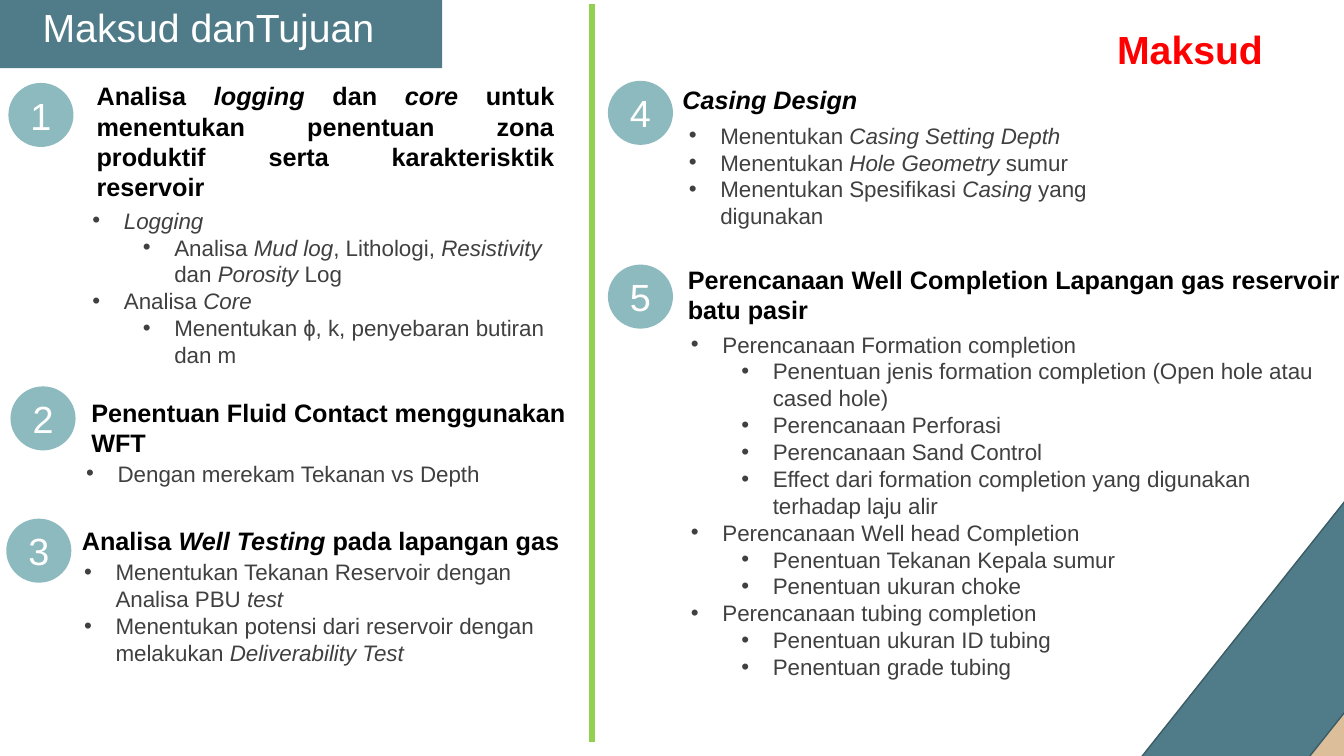
from dataclasses import dataclass

import pptx
import pptx.dml.color
import pptx.enum.shapes
import pptx.enum.text
import pptx.oxml.ns
import pptx.util
from lxml import etree

PX = 9525  # EMU in one px, 96 px to the inch
FONT = "Arial"
BADGE_WIDTH, BADGE_HEIGHT = 62, 61
BULLET_HANG, LEVEL_STEP = 30, 48
COLORS = {
    "teal": "507C89",
    "teal_edge": "3B5C65",
    "badge": "8CBABE",
    "sand": "DCBE9A",
    "green": "92D050",
    "red": "FF0000",
    "white": "FFFFFF",
    "black": "000000",
    "gray": "404040",
}
ALIGN = pptx.enum.text.PP_ALIGN
AUTO_SIZE = pptx.enum.text.MSO_AUTO_SIZE
PRESET = pptx.enum.shapes.MSO_SHAPE


@dataclass(frozen=True)
class Box:
    left: int
    top: int
    width: int
    height: int

    def emu(self) -> tuple[int, int, int, int]:
        return self.left * PX, self.top * PX, self.width * PX, self.height * PX


@dataclass(frozen=True)
class Bullet:
    level: int
    text: str


@dataclass(frozen=True)
class Section:
    """A numbered topic; text between asterisks is italic."""
    badge_left: int
    badge_top: int
    heading_box: Box
    heading: str
    bullets_box: Box
    bullets: tuple[Bullet, ...]
    heading_align: ALIGN = ALIGN.LEFT


SECTIONS = (
    Section(
        8, 79,
        Box(82, 72, 458, 126),
        "Analisa *logging* dan *core *untuk menentukan penentuan zona produktif "
        "serta karakterisktik reservoir",
        Box(80, 192, 458, 165),
        (
            Bullet(0, "*Logging*"),
            Bullet(1, "Analisa *Mud log*, Lithologi, *Resistivity* dan *Porosity* Log"),
            Bullet(0, "Analisa *Core*"),
            Bullet(1, "Menentukan ɸ, k, penyebaran butiran dan m"),
        ),
        ALIGN.JUSTIFY,
    ),
    Section(
        10, 368,
        Box(77, 373, 501, 68), "Penentuan Fluid Contact menggunakan WFT",
        Box(74, 433, 498, 55),
        (Bullet(0, "Dengan merekam Tekanan vs Depth"),),
    ),
    Section(
        6, 494,
        Box(68, 495, 500, 38), "Analisa *Well Testing *pada lapangan gas",
        Box(72, 527, 500, 61),
        (
            Bullet(0, "Menentukan Tekanan Reservoir dengan Analisa PBU *test*"),
            Bullet(0, "Menentukan potensi dari reservoir dengan melakukan *Deliverability Test*"),
        ),
    ),
    Section(
        579, 77,
        Box(640, 75, 480, 38), "*Casing Design*",
        Box(648, 111, 480, 87),
        (
            Bullet(0, "Menentukan *Casing Setting Depth*"),
            Bullet(0, "Menentukan *Hole Geometry *sumur"),
            Bullet(0, "Menentukan Spesifikasi* Casing *yang digunakan"),
        ),
    ),
    Section(
        579, 252,
        Box(645, 247, 660, 43),
        "Perencanaan Well Completion Lapangan gas reservoir batu pasir",
        Box(650, 310, 640, 372),
        (
            Bullet(0, "Perencanaan Formation completion"),
            Bullet(1, "Penentuan jenis formation completion (Open hole atau cased hole)"),
            Bullet(1, "Perencanaan Perforasi"),
            Bullet(1, "Perencanaan Sand Control"),
            Bullet(1, "Effect dari formation completion yang digunakan terhadap laju alir"),
            Bullet(0, "Perencanaan Well head Completion"),
            Bullet(1, "Penentuan Tekanan Kepala sumur"),
            Bullet(1, "Penentuan ukuran choke"),
            Bullet(0, "Perencanaan tubing completion"),
            Bullet(1, "Penentuan ukuran ID tubing"),
            Bullet(1, "Penentuan grade tubing"),
        ),
    ),
)


def rgb(name: str) -> pptx.dml.color.RGBColor:
    return pptx.dml.color.RGBColor.from_string(COLORS[name])


def set_margins(frame, left: int, top: int, right: int, bottom: int) -> None:
    frame.margin_left, frame.margin_top = left * PX, top * PX
    frame.margin_right, frame.margin_bottom = right * PX, bottom * PX


def write(paragraph, text: str, size: int, color: str, bold: bool = False) -> None:
    """Fill a paragraph, with every part between asterisks in italics."""
    for index, part in enumerate(text.split("*")):
        if not part:
            continue
        run = paragraph.add_run()
        run.text = part
        run.font.name, run.font.size = FONT, pptx.util.Pt(size)
        run.font.bold, run.font.italic = bold, index % 2 == 1
        run.font.color.rgb = rgb(color)


def add_filled(slide, preset: PRESET, box: Box, fill: str, rotation: float = 0, line: str = ""):
    shape = slide.shapes.add_shape(preset, *box.emu())
    shape.shadow.inherit = False
    shape.rotation = rotation
    shape.fill.solid()
    shape.fill.fore_color.rgb = rgb(fill)
    if line:
        shape.line.color.rgb = rgb(line)
        shape.line.width = pptx.util.Pt(1)
    else:
        shape.line.fill.background()
    return shape


def add_text_frame(slide, box: Box, left_margin: int, wrap: bool = True):
    frame = slide.shapes.add_textbox(*box.emu()).text_frame
    frame.word_wrap = wrap
    frame.auto_size = AUTO_SIZE.SHAPE_TO_FIT_TEXT
    set_margins(frame, left_margin, 5, 12, 5)
    return frame


def set_bullet(paragraph, level: int) -> None:
    paragraph.level = level
    properties = paragraph._p.get_or_add_pPr()
    properties.set("marL", str((BULLET_HANG + level * LEVEL_STEP) * PX))
    properties.set("indent", str(-BULLET_HANG * PX))
    etree.SubElement(properties, pptx.oxml.ns.qn("a:buFont")).set("typeface", FONT)
    etree.SubElement(properties, pptx.oxml.ns.qn("a:buChar")).set("char", "•")


def add_title(slide) -> None:
    title = slide.shapes.title
    title.left, title.top, title.width, title.height = Box(-170, 3, 733, 60).emu()
    frame = title.text_frame
    frame.auto_size = AUTO_SIZE.NONE
    frame.vertical_anchor = pptx.enum.text.MSO_ANCHOR.TOP
    set_margins(frame, 8, 0, 4, 0)
    frame.paragraphs[0].alignment = ALIGN.CENTER
    write(frame.paragraphs[0], "Maksud danTujuan", 28, "white")
    banner = add_filled(slide, PRESET.RECTANGLE, Box(176, -180, 69, 421), "teal", 90)
    title.element.addprevious(banner.element)


def add_divider(slide) -> None:
    divider = slide.shapes.add_connector(
        pptx.enum.shapes.MSO_CONNECTOR.STRAIGHT, 564 * PX, 4 * PX, 564 * PX, 707 * PX)
    divider.line.color.rgb = rgb("green")
    divider.line.width = pptx.util.Pt(4.5)
    etree.SubElement(divider.element.spPr, pptx.oxml.ns.qn("a:effectLst"))


def add_section(slide, number: int, section: Section) -> None:
    heading = add_text_frame(slide, section.heading_box, 10).paragraphs[0]
    heading.alignment = section.heading_align
    write(heading, section.heading, 18, "black", bold=True)

    frame = add_text_frame(slide, section.bullets_box, 8)
    for index, bullet in enumerate(section.bullets):
        paragraph = frame.add_paragraph() if index else frame.paragraphs[0]
        set_bullet(paragraph, bullet.level)
        write(paragraph, bullet.text, 16, "gray")

    badge_box = Box(section.badge_left, section.badge_top, BADGE_WIDTH, BADGE_HEIGHT)
    badge = add_filled(slide, PRESET.OVAL, badge_box, "badge").text_frame
    badge.vertical_anchor = pptx.enum.text.MSO_ANCHOR.MIDDLE
    badge.paragraphs[0].alignment = ALIGN.CENTER
    write(badge.paragraphs[0], str(number), 27, "white")


def main() -> None:
    presentation = pptx.Presentation()
    presentation.slide_width, presentation.slide_height = 1280 * PX, 720 * PX
    slide = presentation.slides.add_slide(presentation.slide_layouts.get_by_name("Title Only"))
    add_title(slide)
    add_filled(slide, PRESET.RECTANGLE, Box(1157, 545, 90, 429), "sand", 38.5, "sand")
    add_filled(slide, PRESET.RECTANGLE, Box(1114, 462, 125, 494), "teal", 38.5, "teal_edge")
    purpose = add_text_frame(slide, Box(1054, 19, 166, 55), 10, wrap=False)
    write(purpose.paragraphs[0], "Maksud", 28, "red", bold=True)
    add_divider(slide)
    for number, section in enumerate(SECTIONS, start=1):
        add_section(slide, number, section)
    presentation.save("out.pptx")


if __name__ == "__main__":
    main()
